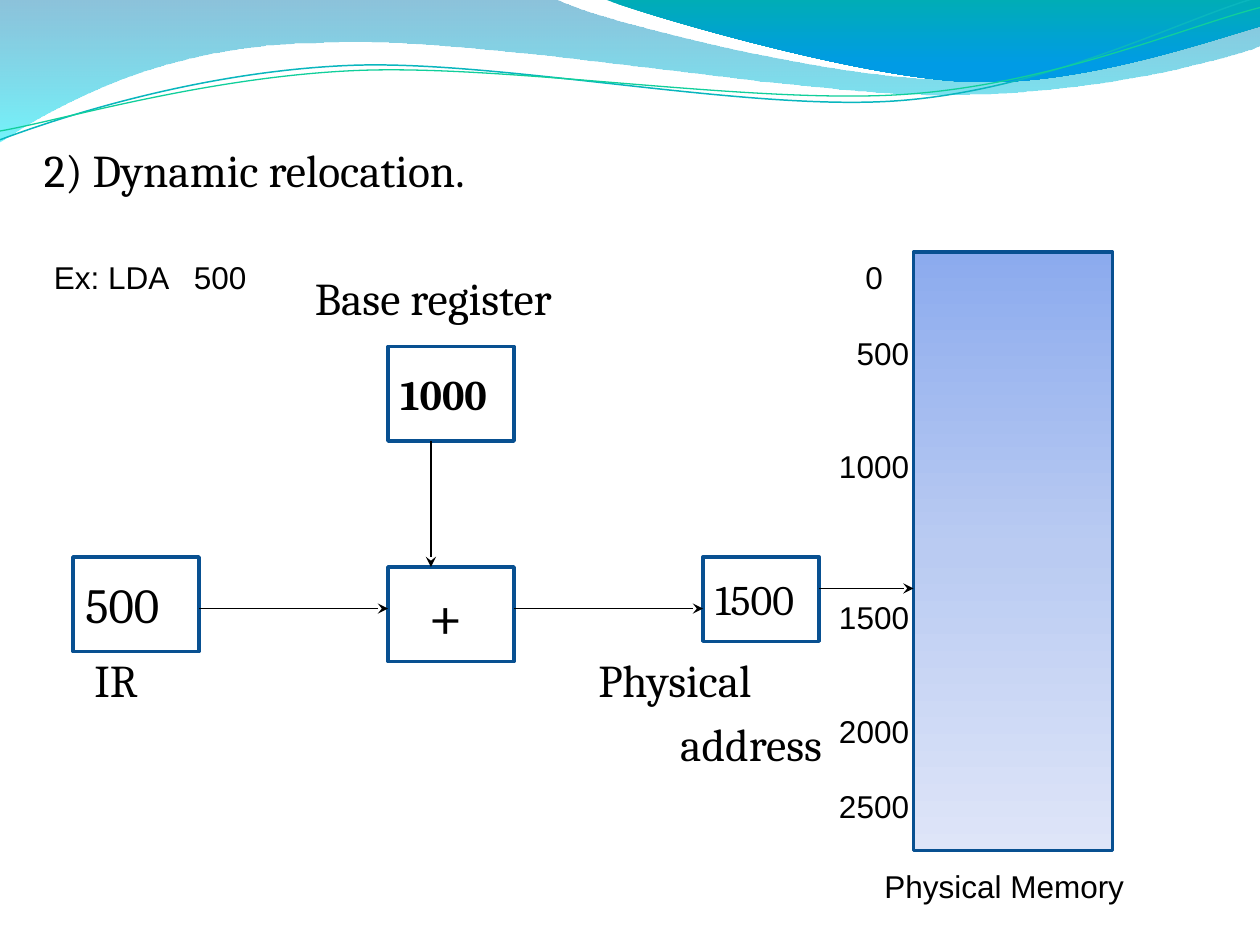
from lxml import etree
from pptx import Presentation
from pptx.dml.color import RGBColor
from pptx.enum.shapes import MSO_CONNECTOR, MSO_SHAPE
from pptx.enum.text import MSO_ANCHOR
from pptx.oxml import parse_xml
from pptx.oxml.ns import nsdecls, qn
from pptx.util import Inches, Pt

STRAIGHT = MSO_CONNECTOR.STRAIGHT
RECTANGLE = MSO_SHAPE.RECTANGLE
TOP, MIDDLE = MSO_ANCHOR.TOP, MSO_ANCHOR.MIDDLE

COLORS = {"text": "000000", "border": "085091", "teal": "09B6BE", "green": "10CF9B"}
SERIF, SANS = "Cambria", "Arial"
LINE_HEIGHT = 1.2  # times the text size

# Gradient stops: position %, colour, opacity %
PALE_WAVE = [(0, "0079AF", 45), (100, "00EBF8", 55)]
DEEP_WAVE = [(0, "00ADB6", 100), (80, "009BE5", 100), (100, "009BE5", 100)]
MEMORY_FILL = [(0, "8CABEE", 100), (50, "BACBF2", 100), (100, "DEE5F8", 100)]

# Each step is a line end (x, y) or a Bezier (two control points and an end)
WAVES = [
    ((0, -0.01), [(4.4, -0.01), (4.76, 0.17, 6.64, 0.63, 7.58, 0.63),
                  (8.53, 0.63, 9.58, 0.26, 10, 0.09), (10.01, 0.36),
                  (9.83, 0.44, 8.7, 0.76, 7.46, 0.75),
                  (6.22, 0.75, 3.82, 0.28, 2.57, 0.34),
                  (1.29, 0.35, 0.46, 0.83, -0.01, 1.13)], PALE_WAVE),
    ((4.79, -0.01), [(5.09, 0.11, 6.82, 0.62, 7.69, 0.65),
                     (8.56, 0.69, 9.61, 0.32, 10, 0.21), (10, 0)], DEEP_WAVE),
]
WAVE_LINES = [
    ((0, 1.11), [(0.48, 0.93, 1.58, 0.57, 2.77, 0.52),
                 (3.95, 0.47, 5.93, 0.89, 7.13, 0.8),
                 (8.33, 0.71, 9.38, 0.15, 9.98, -0.02)], "teal", 0.85),
    ((0, 1.04), [(0.47, 0.96, 1.64, 0.61, 2.83, 0.56),
                 (4.03, 0.51, 5.97, 0.83, 7.17, 0.75),
                 (8.36, 0.67, 9.41, 0.21, 10, 0.06)], "green", 0.75),
]

# Text lines: text, row, indent, tab stops
BODY_PITCH, ADDRESS_PITCH = 36.4, 21.6
BODY = [
    ("2) Dynamic relocation.", 0, 0, []),
    ("Base register", 2, 2.15, []),
    ("\tIR\tPhysical", 8, 0, [0.4, 4.4]),
    ("address", 9, 5.05, []),
]
ADDRESSES = [("0", 0, 0.35, []), ("500", 2, 0.28, []), ("1000", 5, 0.14, []),
             ("1500", 9, 0.14, []), ("2000", 12, 0.14, []), ("2500", 14, 0.14, [])]
MEMORY_CAPTION = [("Physical Memory", 0, 0, [])]
EXAMPLE = [("Ex: LDA\t500", 0, 0, [1.11])]

# Text, place (left, top, width, height), size, bold, left inset
REGISTERS = [
    ("500", (0.58, 4.42, 1, 0.75), 28, False, 0.1),
    ("1000", (3.08, 2.75, 1, 0.75), 24, True, 0.1),
    ("+", (3.08, 4.5, 1, 0.75), 36, False, 0.32),
    ("1500", (5.58, 4.42, 0.92, 0.67), 24, False, 0.1),
]
ARROWS = [
    (1.58, 4.83, 3.08, 4.83),
    (3.42, 3.5, 3.42, 4.5),
    (4.08, 4.83, 5.58, 4.83),
    (6.5, 4.67, 7.25, 4.67),
]
MEMORY = (7.25, 2, 1.58, 4.75)


def rgb(name):
    return RGBColor.from_string(COLORS[name])


def set_gradient(shape, stops):
    """Fill the shape from top to bottom, with an opacity for each stop."""
    shape.fill.background()
    marks = "".join(
        f'<a:gs pos="{pos * 1000}"><a:srgbClr val="{color}">'
        f'<a:alpha val="{opacity * 1000}"/></a:srgbClr></a:gs>'
        for pos, color, opacity in stops)
    gradient = parse_xml(f'<a:gradFill {nsdecls("a")} rotWithShape="1"><a:gsLst>{marks}'
                         '</a:gsLst><a:lin ang="5400000" scaled="0"/></a:gradFill>')
    properties = shape._element.spPr
    properties.replace(properties.find(qn("a:noFill")), gradient)


def add_curve(slide, start, steps, closed):
    """Draw straight steps first, then bend those that have control points."""
    ends = [tuple(map(Inches, step[-2:])) for step in steps]
    builder = slide.shapes.build_freeform(*map(Inches, start))
    builder.add_line_segments(ends, close=closed)
    curve = builder.convert_to_shape()
    curve.shadow.inherit = False
    segments = list(curve._element.iter(qn("a:lnTo")))
    for segment, step in zip(segments, steps):
        if len(step) == 6:
            bend = etree.Element(qn("a:cubicBezTo"))
            for x, y in zip(step[::2], step[1::2]):
                etree.SubElement(bend, qn("a:pt"), x=str(Inches(x) - curve.left),
                                 y=str(Inches(y) - curve.top))
            segment.getparent().replace(segment, bend)
    return curve


def format_runs(paragraph, font, size, bold=False):
    for run in paragraph.runs:
        run.font.name = font
        run.font.size = Pt(size)
        run.font.bold = bold
        run.font.color.rgb = rgb("text")


def add_lines(slide, place, lines, font, size, pitch=0):
    """Add one text box whose lines sit on a grid of rows."""
    frame = slide.shapes.add_textbox(*map(Inches, place)).text_frame
    frame.word_wrap = True
    frame.text = "\n".join(line[0] for line in lines)
    previous = 0
    for paragraph, (_, row, indent, stops) in zip(frame.paragraphs, lines):
        height = size * LINE_HEIGHT
        paragraph.line_spacing = Pt(height)
        if row:
            paragraph.space_before = Pt((row - previous) * pitch - height)
        previous = row
        properties = paragraph._p.get_or_add_pPr()
        properties.set("marL", str(Inches(indent)))
        if stops:
            tabs = etree.SubElement(properties, qn("a:tabLst"))
            for stop in stops:
                etree.SubElement(tabs, qn("a:tab"), pos=str(Inches(stop)), algn="l")
        format_runs(paragraph, font, size)


def add_box(slide, place):
    box = slide.shapes.add_shape(RECTANGLE, *map(Inches, place))
    box.shadow.inherit = False
    box.fill.background()
    box.line.color.rgb = rgb("border")
    box.line.width = Pt(2)
    return box


def add_register(slide, text, place, size, bold, inset):
    frame = add_box(slide, place).text_frame
    frame.vertical_anchor = MIDDLE
    frame.margin_left = Inches(inset)
    frame.text = text
    frame.paragraphs[0]._p.get_or_add_pPr().set("algn", "l")
    format_runs(frame.paragraphs[0], SERIF, size, bold)


def add_arrow(slide, ends):
    arrow = slide.shapes.add_connector(STRAIGHT, *map(Inches, ends))
    arrow.line.color.rgb = rgb("text")
    arrow.line.width = Pt(0.75)
    etree.SubElement(arrow.line._get_or_add_ln(), qn("a:tailEnd"), type="stealth")
    etree.SubElement(arrow._element.spPr, qn("a:effectLst"))


def main():
    deck = Presentation()
    deck.slide_width, deck.slide_height = Inches(10), Inches(7.5)
    slide = deck.slides.add_slide(deck.slide_layouts[6])

    for start, steps, stops in WAVES:
        wave = add_curve(slide, start, steps, closed=True)
        set_gradient(wave, stops)
        wave.line.fill.background()
    for start, steps, color, width in WAVE_LINES:
        curve = add_curve(slide, start, steps, closed=False)
        curve.fill.background()
        curve.line.color.rgb = rgb(color)
        curve.line.width = Pt(width)

    add_lines(slide, (0.25, 1.08, 9.33, 5.8), BODY, SERIF, 26, BODY_PITCH)
    for register in REGISTERS:
        add_register(slide, *register)
    set_gradient(add_box(slide, MEMORY), MEMORY_FILL)
    add_lines(slide, (6.42, 2, 0.92, 4.64), ADDRESSES, SANS, 18, ADDRESS_PITCH)
    for ends in ARROWS:
        add_arrow(slide, ends)
    add_lines(slide, (6.92, 6.83, 3.08, 0.4), MEMORY_CAPTION, SANS, 18)
    add_lines(slide, (0.33, 2, 1.92, 0.4), EXAMPLE, SANS, 18)

    deck.save("out.pptx")


if __name__ == "__main__":
    main()
